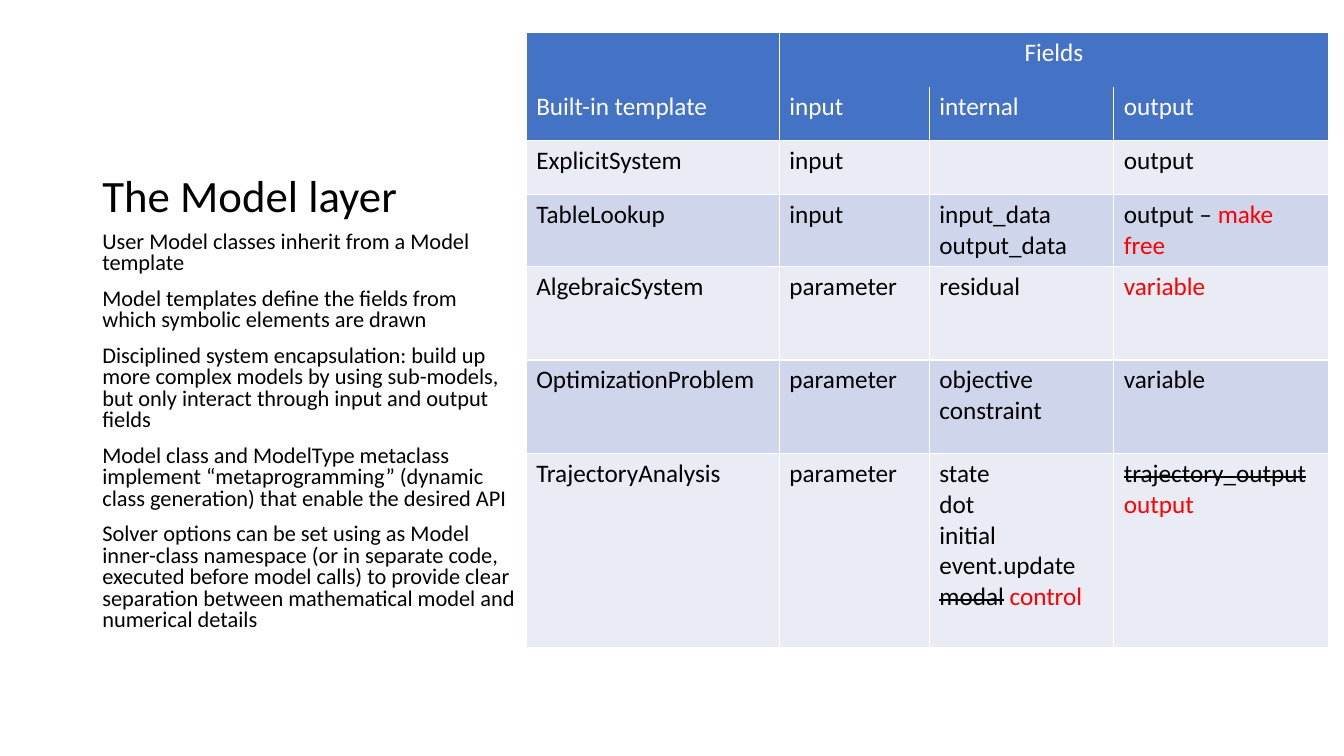
from typing import NamedTuple

from lxml import etree
from pptx import Presentation
from pptx import util as u
from pptx.dml.color import RGBColor
from pptx.enum import text
from pptx.oxml import ns

COLORS = {
    "header": "4472C4",
    "light": "E9EBF5",
    "dark": "CFD5EA",
    "white": "FFFFFF",
    "black": "000000",
    "red": "FF0000",
}
FONT = "Calibri"


class Run(NamedTuple):
    text: str
    color: str = "black"
    strike: bool = False


class Box(NamedTuple):
    top: float
    height: float
    size: int
    spacing: float
    before: int
    anchor: text.MSO_ANCHOR
    lines: list[str]


class Row(NamedTuple):
    height: float
    fill: str
    cells: list[list[list[Run]]]


def line(*words: str, color: str = "black") -> list[list[Run]]:
    return [[Run(word, color)] for word in words]


def rgb(name: str) -> RGBColor:
    return RGBColor.from_string(COLORS[name])


def write(tf, lines: list[list[Run]], size: int) -> None:
    for i, runs in enumerate(lines):
        p = tf.add_paragraph() if i else tf.paragraphs[0]
        p.font.name = FONT
        p.font.size = u.Pt(size)
        shared = len({run.color for run in runs}) == 1
        if shared:
            p.font.color.rgb = rgb(runs[0].color)
        for run in runs:
            r = p.add_run()
            r.text = run.text
            if not shared:
                r.font.color.rgb = rgb(run.color)
            if run.strike:
                r.font._element.set("strike", "sngStrike")


def draw_box(s, box: Box) -> None:
    sp = s.shapes.add_textbox(u.Cm(2.33), u.Cm(box.top), u.Cm(10.93), u.Cm(box.height))
    tf = sp.text_frame
    tf.word_wrap = True
    tf.vertical_anchor = box.anchor
    write(tf, line(*box.lines), box.size)
    for p in tf.paragraphs:
        p.line_spacing = box.spacing
        p.space_before = u.Pt(box.before)


def set_borders(cell, hidden: str) -> None:
    tcPr = cell._tc.get_or_add_tcPr()
    for side in "LRTB":
        ln = etree.SubElement(tcPr, ns.qn(f"a:ln{side}"), w=str(u.Pt(1)))
        if side == hidden:
            etree.SubElement(ln, ns.qn("a:noFill"))
        else:
            fill = etree.SubElement(ln, ns.qn("a:solidFill"))
            etree.SubElement(fill, ns.qn("a:srgbClr"), val=COLORS["white"])


def draw_table(s, widths: list[float], rows: list[Row]) -> None:
    height = sum(row.height for row in rows)
    table = s.shapes.add_table(
        len(rows), len(widths), u.Cm(13.26), u.Cm(0.82), u.Cm(sum(widths)), u.Cm(height)
    ).table
    table.first_row = False
    table.horz_banding = False
    for column, width in zip(table.columns, widths):
        column.width = u.Cm(width)
    for i, row in enumerate(rows):
        table.rows[i].height = u.Cm(row.height)
        for j, lines in enumerate(row.cells):
            cell = table.cell(i, j)
            set_borders(cell, {0: "B", 1: "T"}.get(i, ""))
            cell.fill.solid()
            cell.fill.fore_color.rgb = rgb(row.fill)
            write(cell.text_frame, lines, 18)
    fields = table.cell(0, 1)
    fields.merge(table.cell(0, len(widths) - 1))
    fields.text_frame.paragraphs[0].alignment = text.PP_ALIGN.CENTER


BOXES = [
    Box(1.27, 4.45, 32, 0.9, 0, text.MSO_ANCHOR.BOTTOM, ["The Model layer"]),
    Box(5.72, 10.59, 16, 0.8, 10, text.MSO_ANCHOR.TOP, [
        "User Model classes inherit from a Model template",
        "Model templates define the fields from which symbolic elements are drawn",
        "Disciplined system encapsulation: build up more complex models by using "
        "sub-models, but only interact through input and output fields",
        "Model class and ModelType metaclass implement “metaprogramming” "
        "(dynamic class generation) that enable the desired API",
        "Solver options can be set using as Model inner-class namespace (or in "
        "separate code, executed before model calls) to provide clear separation "
        "between mathematical model and numerical details",
    ]),
]

HEADINGS = ["Built-in template", "input", "internal", "output"]
ROWS = [
    Row(1.36, "header", [[], line("Fields", color="white"), [], []]),
    Row(1.36, "header", [line(heading, color="white") for heading in HEADINGS]),
    Row(1.36, "light", [line("ExplicitSystem"), line("input"), [], line("output")]),
    Row(1.81, "dark", [
        line("TableLookup"),
        line("input"),
        line("input_data", "output_data"),
        [[Run("output – "), Run("make free", "red")]],
    ]),
    Row(2.36, "light", [
        line("AlgebraicSystem"),
        line("parameter"),
        line("residual"),
        line("variable", color="red"),
    ]),
    Row(2.36, "dark", [
        line("OptimizationProblem"),
        line("parameter"),
        line("objective", "constraint"),
        line("variable"),
    ]),
    Row(4.9, "light", [
        line("TrajectoryAnalysis"),
        line("parameter"),
        line("state", "dot", "initial", "event.update")
        + [[Run("modal", strike=True), Run(" "), Run("control", "red")]],
        [[Run("trajectory_output", strike=True)], [Run("output", "red")]],
    ]),
]

prs = Presentation()
prs.slide_width = u.Cm(33.87)
prs.slide_height = u.Cm(19.05)
s = prs.slides.add_slide(prs.slide_layouts[6])
for box in BOXES:
    draw_box(s, box)
draw_table(s, [6.38, 3.78, 4.65, 5.41], ROWS)
prs.save("out.pptx")
